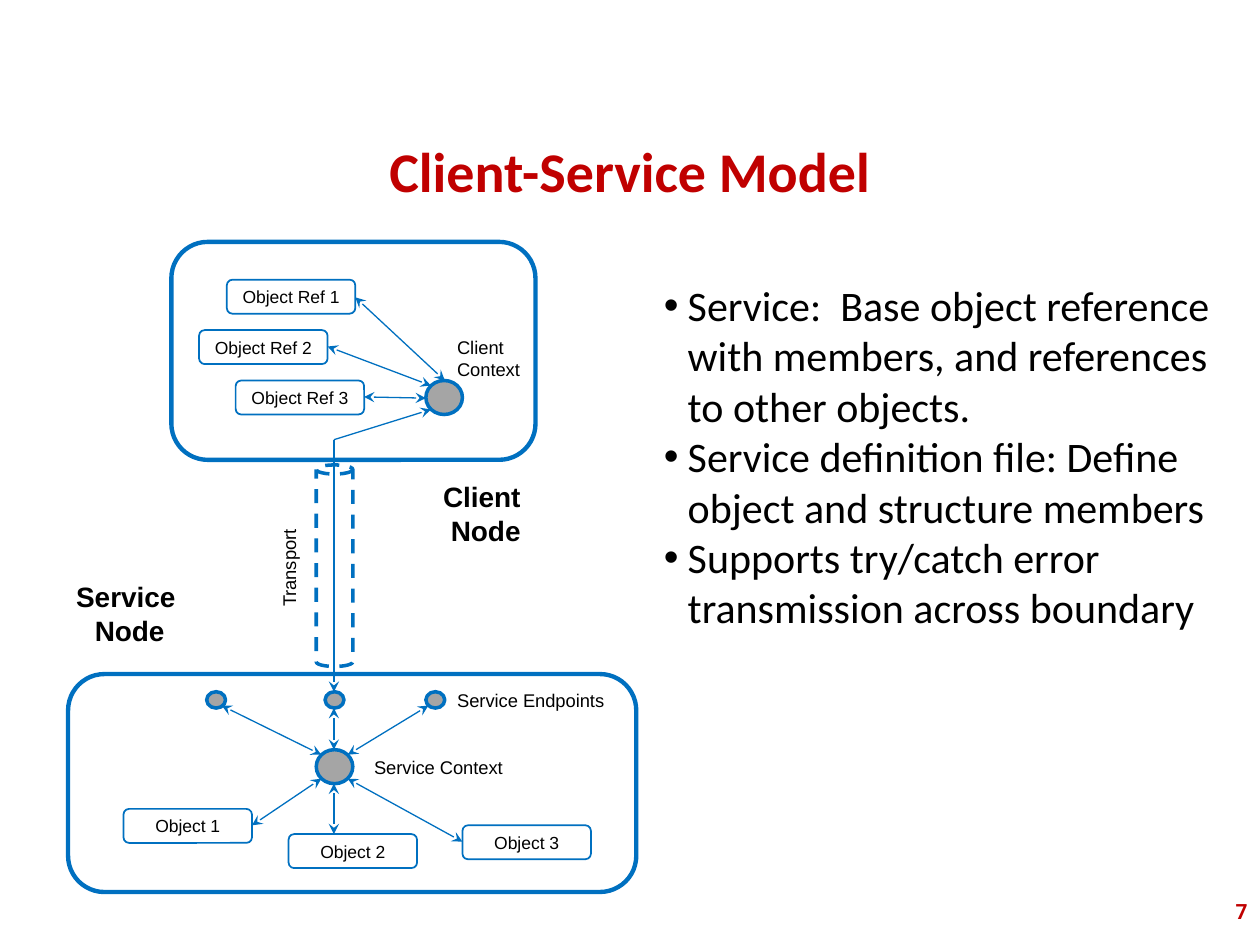
import dataclasses

import pptx
import pptx.dml.color
import pptx.enum.dml
import pptx.enum.shapes
import pptx.enum.text
import pptx.oxml
import pptx.oxml.ns
import pptx.util

PX = 9144
SHAPE = pptx.enum.shapes.MSO_SHAPE
ALIGN = pptx.enum.text.PP_ALIGN
ANCHOR = pptx.enum.text.MSO_ANCHOR
FIT = pptx.enum.text.MSO_AUTO_SIZE
DASH = pptx.enum.dml.MSO_LINE.DASH


@dataclasses.dataclass(frozen=True)
class Theme:
    red: str = "C00000"
    blue: str = "0070C0"
    grey: str = "A5A5A5"
    black: str = "000000"
    heading_font: str = "Calibri"
    diagram_font: str = "Arial"
    number_font: str = "Roboto"
    title_size: float = 32
    body_size: float = 24
    node_size: float = 16
    number_size: float = 12
    label_size: float = 10.5
    object_size: float = 10
    frame_line: float = 2.5
    context_line: float = 2
    object_line: float = 1
    link_line: float = 0.75


def rgb(value):
    return pptx.dml.color.RGBColor.from_string(value)


def px(*lengths):
    return [pptx.util.Emu(length * PX) for length in lengths]


def add_element(parent, tag, **attributes):
    element = pptx.oxml.parse_xml(f"<a:{tag} {pptx.oxml.ns.nsdecls('a')}/>")
    for name, value in attributes.items():
        element.set(name, str(value))
    parent.append(element)
    return element


def write(frame, text, *, font, size, color, bold=False, align=ALIGN.LEFT,
          anchor=ANCHOR.TOP, fit=FIT.NONE, hanging=0):
    frame.word_wrap = True
    frame.auto_size = fit
    frame.vertical_anchor = anchor
    for index, line in enumerate(text.split("\n")):
        para = frame.add_paragraph() if index else frame.paragraphs[0]
        para.alignment = align
        if hanging:
            properties = para._p.get_or_add_pPr()
            properties.set("marL", str(hanging * PX))
            properties.set("indent", str(-hanging * PX))
            add_element(add_element(properties, "buClr"), "srgbClr", val=color)
            add_element(properties, "buFont", typeface="Arial")
            add_element(properties, "buChar", char="•")
        span = para.add_run()
        span.text = line
        span.font.name = font
        span.font.size = pptx.util.Pt(size)
        span.font.bold = bold
        span.font.color.rgb = rgb(color)


class SlideBuilder:
    def __init__(self, deck, theme):
        self.theme = theme
        self.page = deck.slides.add_slide(deck.slide_layouts[5])

    def title(self, text, left, top, width, height):
        box = self.page.shapes.title
        box.left, box.top, box.width, box.height = px(left, top, width, height)
        write(box.text_frame, text, font=self.theme.heading_font,
              size=self.theme.title_size, color=self.theme.red, bold=True,
              align=ALIGN.CENTER, anchor=ANCHOR.MIDDLE)

    def text(self, text, left, top, width, height, rotation=0, **style):
        box = self.page.shapes.add_textbox(*px(left, top, width, height))
        box.rotation = rotation
        write(box.text_frame, text, **style)

    def label(self, text, left, top, width, height, rotation=0):
        self.text(text, left, top, width, height, rotation, fit=FIT.SHAPE_TO_FIT_TEXT,
                  font=self.theme.diagram_font, size=self.theme.label_size,
                  color=self.theme.black)

    def node_name(self, text, left, top, width, height):
        self.text(text, left, top, width, height, fit=FIT.SHAPE_TO_FIT_TEXT,
                  font=self.theme.diagram_font, size=self.theme.node_size,
                  color=self.theme.black, bold=True, align=ALIGN.CENTER)

    def outline(self, kind, left, top, width, height, weight, fill=None, dash=None):
        box = self.page.shapes.add_shape(kind, *px(left, top, width, height))
        box.shadow.inherit = False
        if fill:
            box.fill.solid()
            box.fill.fore_color.rgb = rgb(fill)
        else:
            box.fill.background()
        box.line.color.rgb = rgb(self.theme.blue)
        box.line.width = pptx.util.Pt(weight)
        if dash:
            box.line.dash_style = dash
        return box

    def node(self, left, top, width, height):
        self.outline(SHAPE.ROUNDED_RECTANGLE, left, top, width, height,
                     self.theme.frame_line)

    def transport(self, left, top, width, height):
        self.outline(SHAPE.CAN, left, top, width, height,
                     self.theme.context_line, dash=DASH.DASH)

    def dot(self, left, top, width, height):
        self.outline(SHAPE.OVAL, left, top, width, height,
                     self.theme.context_line, fill=self.theme.grey)

    def object_box(self, text, left, top):
        box = self.outline(SHAPE.ROUNDED_RECTANGLE, left, top, 102, 27,
                           self.theme.object_line)
        write(box.text_frame, text, font=self.theme.diagram_font,
              size=self.theme.object_size, color=self.theme.black,
              align=ALIGN.CENTER, anchor=ANCHOR.MIDDLE)

    def link(self, start, end, both_ways=True):
        line = self.page.shapes.add_connector(
            pptx.enum.shapes.MSO_CONNECTOR.STRAIGHT, *px(*start, *end))
        line.line.color.rgb = rgb(self.theme.blue)
        line.line.width = pptx.util.Pt(self.theme.link_line)
        stroke = line.line._get_or_add_ln()
        if both_ways:
            add_element(stroke, "headEnd", type="stealth")
        add_element(stroke, "tailEnd", type="stealth")
        add_element(line._element.spPr, "effectLst")


def main():
    deck = pptx.Presentation()
    deck.slide_width, deck.slide_height = px(1000, 750)
    theme = Theme()
    slide = SlideBuilder(deck, theme)

    slide.title("Client-Service Model", 75, 95, 850, 80)
    slide.text("7", 792, 708, 208, 42, font=theme.number_font,
               size=theme.number_size, color=theme.red, bold=True, align=ALIGN.RIGHT)

    slide.node(136, 192, 289, 173)
    slide.node(54, 535, 451, 173)
    slide.transport(251, 369, 29, 160)

    for left, top in ((338, 302), (251, 595)):
        slide.dot(left, top, 29, 27)
    for left in (164, 258, 338):
        slide.dot(left, 549, 15, 13)

    for number, left in enumerate((180, 158, 187)):
        slide.object_box(f"Object Ref {number + 1}", left, 222 + 40 * number)
    for number, (left, top) in enumerate(((98, 642), (229, 662), (367, 655)), 1):
        slide.object_box(f"Object {number}", left, top)

    for start, end in (
        ((282, 236), (353, 302)),
        ((260, 275), (342, 306)),
        ((289, 315), (338, 316)),
        ((265, 562), (265, 595)),
        ((255, 599), (176, 560)),
        ((276, 599), (340, 560)),
        ((265, 622), (265, 662)),
        ((276, 618), (367, 668)),
        ((255, 618), (200, 655)),
    ):
        slide.link(start, end)
    for end in ((342, 325), (265, 549)):
        slide.link((265, 349), end, both_ways=False)

    slide.node_name("Client \nNode", 341, 376, 89, 64)
    slide.node_name("Service \nNode", 50, 455, 106, 64)
    slide.label("Service Endpoints", 353, 542, 145, 29)
    slide.label("Service Context", 287, 595, 129, 29)
    slide.label("Client\nContext", 353, 262, 73, 47)
    slide.label("Transport", 188, 436, 83, 28, rotation=270)

    slide.text(
        "Service:  Base object reference with members, and references to other objects.\n"
        "Service definition file: Define object and structure members\n"
        "Supports try/catch error transmission across boundary",
        517, 217, 483, 293, font=theme.heading_font, size=theme.body_size,
        color=theme.black, fit=FIT.SHAPE_TO_FIT_TEXT, hanging=19)

    deck.save("out.pptx")


if __name__ == "__main__":
    main()
